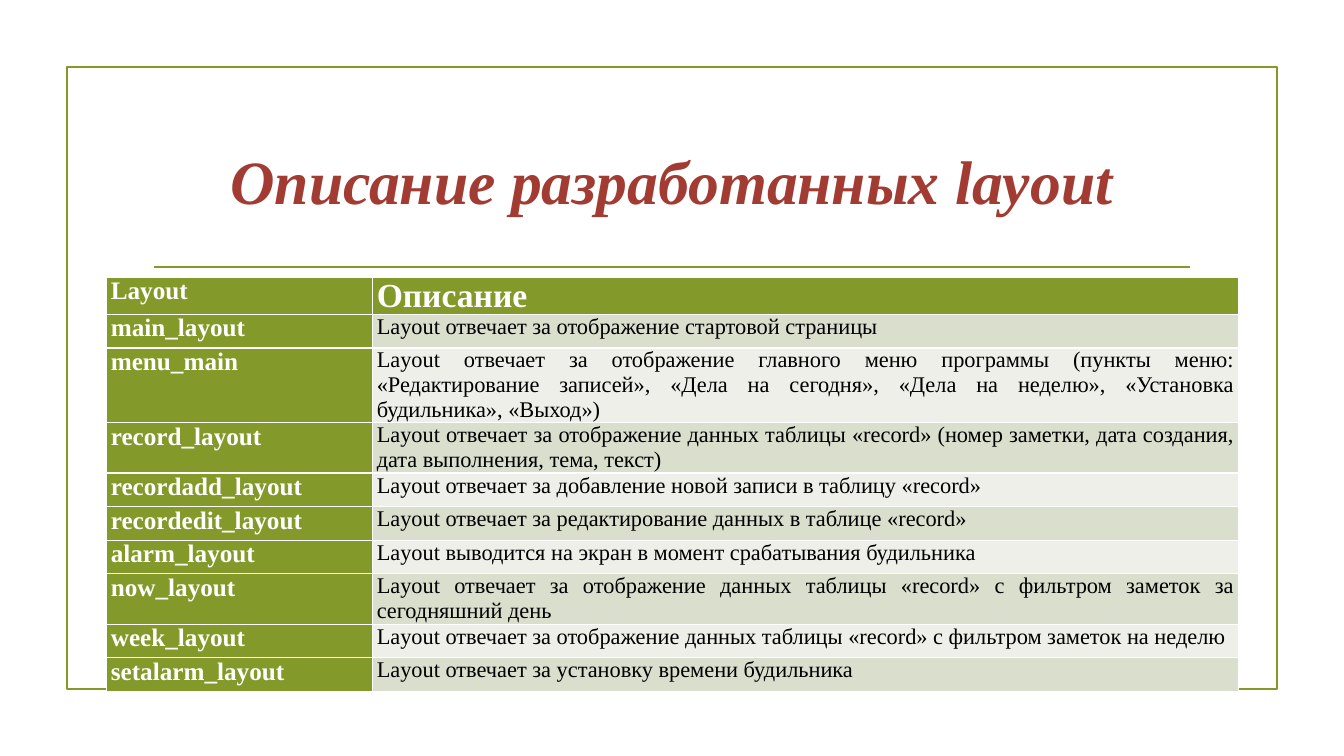
from lxml.etree import SubElement
from pptx import Presentation
from pptx.dml.color import RGBColor
from pptx.enum.shapes import MSO_CONNECTOR, MSO_SHAPE
from pptx.enum.text import MSO_ANCHOR, MSO_AUTO_SIZE, PP_ALIGN
from pptx.oxml.ns import qn
from pptx.util import Inches, Pt

GREEN = RGBColor(0x83, 0x99, 0x2A)
RED = RGBColor(0xA2, 0x3C, 0x33)
WHITE = RGBColor(0xFF, 0xFF, 0xFF)
BLACK = RGBColor(0, 0, 0)
BANDS = (RGBColor(0xD9, 0xDE, 0xCD), RGBColor(0xED, 0xEF, 0xE8))
FONT = "Times New Roman"
SPLIT = 0.235

ROWS = [
    ("Layout", "Описание", 1),
    ("main_layout", "Layout отвечает за отображение стартовой страницы", 2),
    ("menu_main", "Layout отвечает за отображение главного меню программы "
     "(пункты меню: «Редактирование записей», «Дела на сегодня», "
     "«Дела на неделю», «Установка будильника», «Выход»)", 4),
    ("record_layout", "Layout отвечает за отображение данных таблицы «record» "
     "(номер заметки, дата создания, дата выполнения, тема, текст)", 3),
    ("recordadd_layout",
     "Layout отвечает за добавление новой записи в таблицу «record»", 2),
    ("recordedit_layout",
     "Layout отвечает за редактирование данных в таблице «record»", 2),
    ("alarm_layout",
     "Layout выводится на экран в момент срабатывания будильника", 2),
    ("now_layout", "Layout отвечает за отображение данных таблицы «record» "
     "с фильтром заметок за сегодняшний день", 3),
    ("week_layout", "Layout отвечает за отображение данных таблицы «record» "
     "с фильтром заметок на неделю", 2),
    ("setalarm_layout", "Layout отвечает за установку времени будильника", 2),
]


def grid(*units):
    """Turn grid units, six to the inch, into lengths."""
    return [Inches(unit / 6) for unit in units]


def style(para, size, color, bold, align):
    """Set the font and alignment of a paragraph."""
    font = para.font
    font.name, font.size, font.bold = FONT, Pt(size), bold
    font.color.rgb = color
    para.alignment = align


def draw_frame(slide, box):
    """Draw the green outline of the page."""
    frame = slide.shapes.add_shape(MSO_SHAPE.RECTANGLE, *grid(*box))
    frame.shadow.inherit = False
    frame.fill.background()
    frame.line.color.rgb = GREEN
    frame.line.width = Pt(1.25)


def draw_title(slide, box, text):
    """Place the title and the rule below it."""
    left, top, width, height = box
    title = slide.shapes.title
    title.left, title.top, title.width, title.height = grid(*box)
    title.text = text
    title.text_frame.vertical_anchor = MSO_ANCHOR.MIDDLE
    title.text_frame.auto_size = MSO_AUTO_SIZE.NONE
    para = title.text_frame.paragraphs[0]
    style(para, 44, RED, True, PP_ALIGN.CENTER)
    para.font.italic = True
    level = top + height + 0.9
    ends = grid(left + 0.68, level, left + width - 0.68, level)
    rule = slide.shapes.add_connector(MSO_CONNECTOR.STRAIGHT, *ends)
    rule.line.color.rgb = GREEN
    rule.line.width = Pt(1.25)
    SubElement(rule.element.spPr, qn("a:effectLst"))


def fill_cell(cell, text, size, ink, bold, fill):
    """Write one table cell."""
    cell.margin_left = cell.margin_right = Inches(0.04)
    cell.margin_top = cell.margin_bottom = 0
    cell.fill.solid()
    cell.fill.fore_color.rgb = fill
    cell.text = text
    style(cell.text_frame.paragraphs[0], size, ink, bold, PP_ALIGN.JUSTIFY)


def draw_table(slide, box, rows):
    """Build the table of layouts and their descriptions."""
    width = box[2]
    table = slide.shapes.add_table(len(rows), 2, *grid(*box)).table
    table.first_col = True
    shares = grid(width * SPLIT, width * (1 - SPLIT))
    for column, share in zip(table.columns, shares):
        column.width = share
    for num, (name, about, units) in enumerate(rows):
        table.rows[num].height = grid(units)[0]
        fill_cell(table.cell(num, 0), name, 18, WHITE, True, GREEN)
        if num:
            look = (16, BLACK, False, BANDS[(num - 1) % 2])
        else:
            look = (24, WHITE, True, GREEN)
        fill_cell(table.cell(num, 1), about, *look)


def main():
    """Build and save the slide."""
    deck = Presentation()
    deck.slide_width, deck.slide_height = grid(80, 45)
    slide = deck.slides.add_slide(deck.slide_layouts[5])
    draw_frame(slide, (4, 4, 72, 37))
    draw_title(slide, (8.5, 6.4, 63, 8.6), "Описание разработанных layout")
    draw_table(slide, (6.36, 16.5, 67.36, 24.6), ROWS)
    deck.save("out.pptx")


if __name__ == "__main__":
    main()
